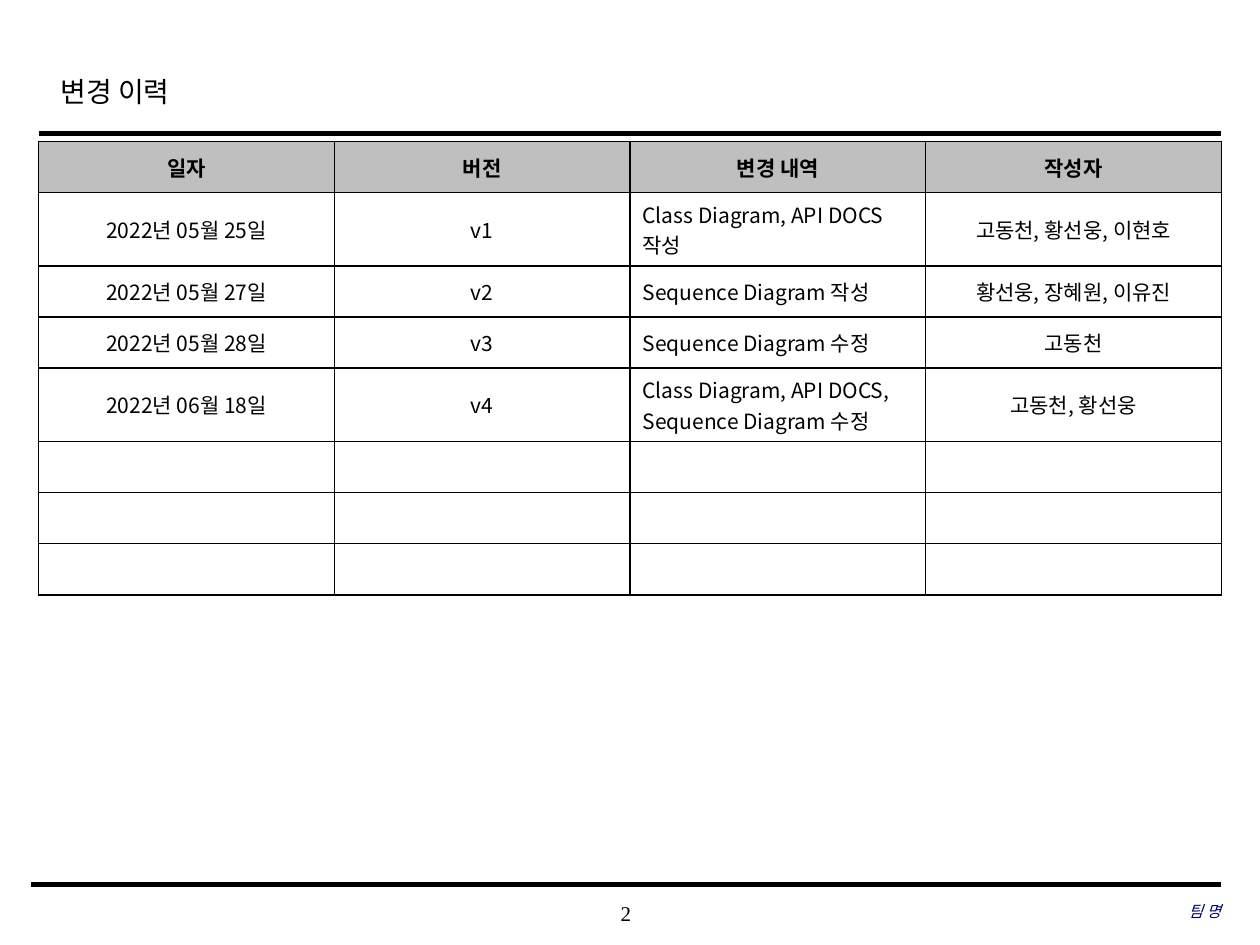
from lxml import etree
from pptx import Presentation
from pptx.dml.color import RGBColor
from pptx.enum.shapes import MSO_CONNECTOR
from pptx.enum.text import MSO_ANCHOR, PP_ALIGN
from pptx.oxml.ns import qn
from pptx.util import Cm, Pt

LEFT, CENTER, RIGHT = PP_ALIGN.LEFT, PP_ALIGN.CENTER, PP_ALIGN.RIGHT
TOP, MIDDLE = MSO_ANCHOR.TOP, MSO_ANCHOR.MIDDLE
STRAIGHT = MSO_CONNECTOR.STRAIGHT

COLORS = {"ink": "000000", "team": "000066", "head": "BFBFBF", "cell": "FFFFFF"}
SERIF, SANS = "Times New Roman", "Noto Sans CJK KR"

LOW, TALL = 1.03, 1.48
ROWS = [
    (LOW, "일자", "버전", "변경 내역", "작성자"),
    (TALL, "2022년 05월 25일", "v1", "Class Diagram, API DOCS 작성",
     "고동천, 황선웅, 이현호"),
    (LOW, "2022년 05월 27일", "v2", "Sequence Diagram 작성", "황선웅, 장혜원, 이유진"),
    (LOW, "2022년 05월 28일", "v3", "Sequence Diagram 수정", "고동천"),
    (TALL, "2022년 06월 18일", "v4", "Class Diagram, API DOCS, Sequence Diagram 수정",
     "고동천, 황선웅"),
] + [(LOW, "", "", "", "")] * 3


def color(name):
    return RGBColor.from_string(COLORS[name])


def write(para, text, align, ink="ink", **font):
    para.alignment = align
    run = para.add_run()
    run.text = text
    for key, value in font.items():
        setattr(run.font, key, value)
    run.font.color.rgb = color(ink)
    east = etree.SubElement(run.font._element, qn("a:ea"))
    east.set("typeface", SANS)


def add_text(slide, box, text, align, anchor=MIDDLE, inset=True, **font):
    frame = slide.shapes.add_textbox(*map(Cm, box)).text_frame
    frame.word_wrap = True
    frame.vertical_anchor = anchor
    if not inset:
        for side in ("left", "right", "top", "bottom"):
            setattr(frame, "margin_" + side, 0)
    write(frame.paragraphs[0], text, align, **font)
    return frame


def add_rule(slide, left, right, y, width):
    rule = slide.shapes.add_connector(STRAIGHT, Cm(left), Cm(y), Cm(right), Cm(y))
    rule.line.color.rgb = color("ink")
    rule.line.width = Pt(width)
    etree.SubElement(rule._element.spPr, qn("a:effectLst"))


def add_border(cell):
    props = cell._tc.get_or_add_tcPr()
    for side in ("lnL", "lnR", "lnT", "lnB"):
        line = etree.SubElement(props, qn("a:" + side), w=str(Pt(1)))
        fill = etree.SubElement(line, qn("a:solidFill"))
        etree.SubElement(fill, qn("a:srgbClr"), val=COLORS["ink"])


def add_log(slide, left, top, width):
    """Draw the change log as a table with a grey header row."""
    total = sum(row[0] for row in ROWS)
    table = slide.shapes.add_table(len(ROWS), len(ROWS[0]) - 1, Cm(left), Cm(top),
                                   Cm(width), Cm(total)).table
    table.horz_banding = False
    for r, (height, *texts) in enumerate(ROWS):
        head = r == 0
        table.rows[r].height = Cm(height)
        for c, text in enumerate(texts):
            cell = table.cell(r, c)
            add_border(cell)
            cell.fill.solid()
            cell.fill.fore_color.rgb = color("head" if head else "cell")
            cell.vertical_anchor = MIDDLE
            align = LEFT if c == 2 and not head else CENTER
            write(cell.text_frame.paragraphs[0], text, align,
                  name=SANS, size=Pt(12), bold=head)


def main():
    deck = Presentation()
    deck.slide_width, deck.slide_height = Cm(25.4), Cm(19.05)
    slide = deck.slides.add_slide(deck.slide_layouts[6])
    add_text(slide, (9.98, 17.98, 5.28, 0.84), "2", CENTER, inset=False,
             name=SERIF, size=Pt(12))
    add_rule(slide, 0.78, 24.62, 2.69, 2.5)
    add_rule(slide, 0.63, 24.62, 17.83, 3)
    title = add_text(slide, (0.97, 1.24, 19.18, 1.27), "변경 이력", LEFT, TOP,
                     name=SERIF, size=Pt(16))
    title.paragraphs[0].line_spacing = 1.2
    add_text(slide, (16.84, 17.95, 7.77, 0.84), "팀 명", RIGHT, inset=False,
             ink="team", name=SERIF, size=Pt(9), italic=True)
    add_log(slide, 0.78, 2.85, 23.84)
    deck.save("out.pptx")


if __name__ == "__main__":
    main()
